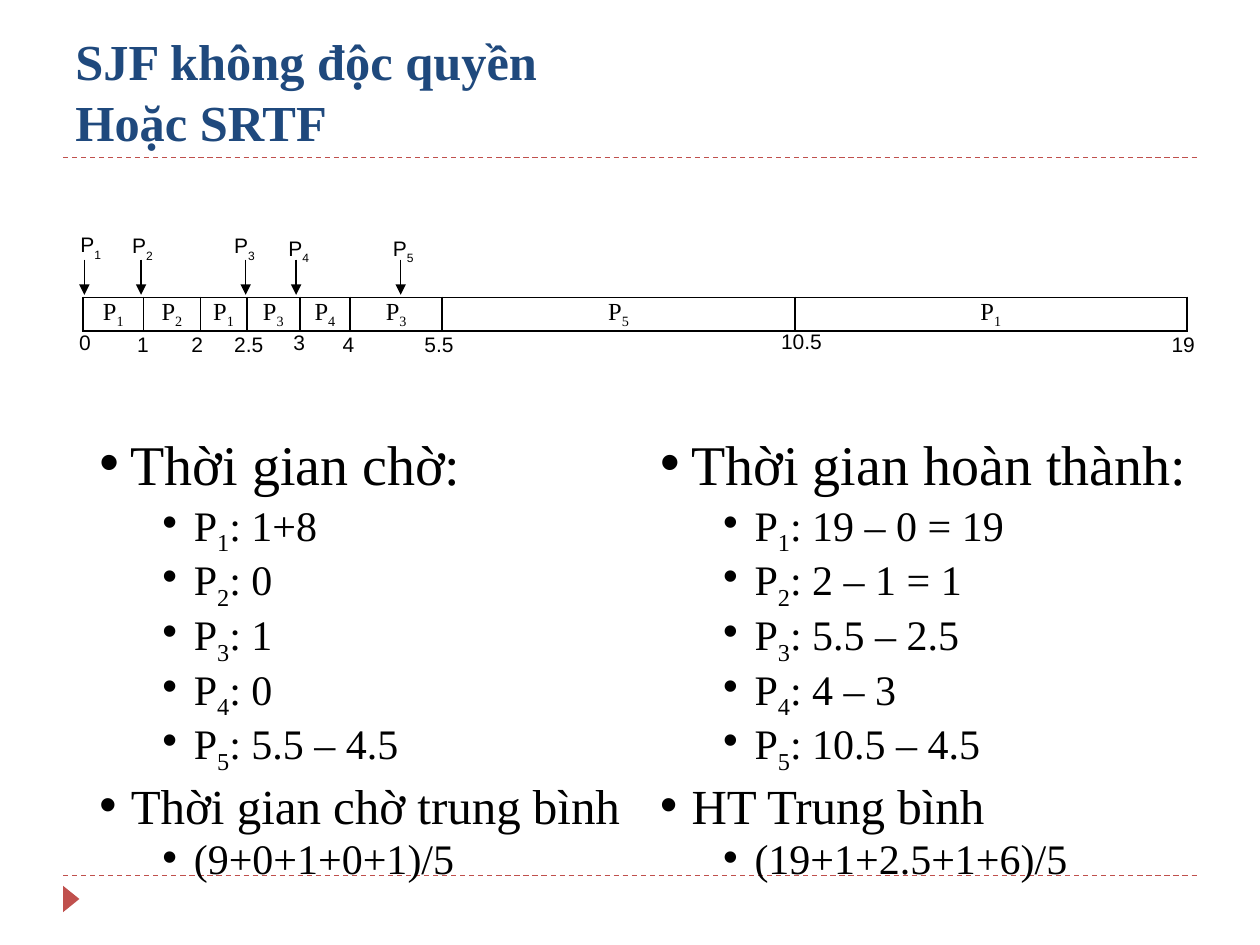
from typing import NamedTuple

from lxml import etree
from pptx import Presentation
from pptx.dml.color import RGBColor
from pptx.enum.dml import MSO_LINE
from pptx.enum.shapes import MSO_CONNECTOR, MSO_SHAPE
from pptx.enum.text import MSO_ANCHOR, PP_ALIGN
from pptx.oxml.ns import qn
from pptx.util import Inches, Pt

DASH = MSO_LINE.DASH
STRAIGHT = MSO_CONNECTOR.STRAIGHT
TRIANGLE = MSO_SHAPE.ISOSCELES_TRIANGLE
MIDDLE, BOTTOM = MSO_ANCHOR.MIDDLE, MSO_ANCHOR.BOTTOM
CENTER = PP_ALIGN.CENTER

COLORS = {"ink": "000000", "title": "1F497D", "accent": "C0504D"}
SERIF, SANS = "Times New Roman", "Arial"


class Slot(NamedTuple):
    job: str
    width: float


class Tick(NamedTuple):
    time: str
    left: float
    top: float
    width: float


class Arrival(NamedTuple):
    job: str
    left: float
    top: float
    arrow: float


class Panel(NamedTuple):
    left: float
    width: float
    head: str
    times: tuple
    mean: str
    total: str


SLOTS = [
    Slot("1", 0.48), Slot("2", 0.45), Slot("1", 0.37), Slot("3", 0.42),
    Slot("4", 0.4), Slot("3", 0.73), Slot("5", 2.8), Slot("1", 3.11),
]
TICKS = [
    Tick("0", 0.53, 2.57, 0.42), Tick("1", 0.99, 2.58, 0.5),
    Tick("2", 1.42, 2.58, 0.42), Tick("2.5", 1.76, 2.58, 0.52),
    Tick("3", 2.23, 2.57, 0.55), Tick("4", 2.62, 2.58, 0.55),
    Tick("5.5", 3.27, 2.58, 0.55), Tick("10.5", 6.1, 2.56, 0.55),
    Tick("19", 9.2, 2.58, 0.47),
]
ARRIVALS = [
    Arrival("1", 0.54, 1.79, 0.67), Arrival("2", 0.95, 1.8, 1.12),
    Arrival("3", 1.76, 1.8, 1.95), Arrival("4", 2.19, 1.82, 2.35),
    Arrival("5", 3.02, 1.82, 3.18),
]
PANELS = [
    Panel(0.69, 4.37, "Thời gian chờ:", ("1+8", "0", "1", "0", "5.5 – 4.5"),
          "Thời gian chờ trung bình", "(9+0+1+0+1)/5"),
    Panel(5.14, 4.57, "Thời gian hoàn thành:",
          ("19 – 0 = 19", "2 – 1 = 1", "5.5 – 2.5", "4 – 3", "10.5 – 4.5"),
          "HT Trung bình", "(19+1+2.5+1+6)/5"),
]


def rgb(name: str) -> RGBColor:
    return RGBColor.from_string(COLORS[name])


def add_run(para, text: str, size: float, face: str, color: str = "ink",
            bold: bool = False, sub: int = 0) -> None:
    """Add a run; sub lowers it by that percentage."""
    run = para.add_run()
    run.text = text
    run.font.size = Pt(size)
    run.font.name = face
    run.font.bold = bold
    run.font.color.rgb = rgb(color)
    if sub:
        run._r.get_or_add_rPr().set("baseline", str(-1000 * sub))


def add_job(para, job: str, size: float, face: str, sub: int = 25) -> None:
    add_run(para, "P", size, face)
    add_run(para, job, size, face, sub=sub)


def add_box(slide, left: float, top: float, width: float, height: float):
    box = slide.shapes.add_textbox(
        Inches(left), Inches(top), Inches(width), Inches(height))
    box.text_frame.word_wrap = True
    return box.text_frame


def add_line(slide, x1: float, y1: float, x2: float, y2: float, color: str):
    line = slide.shapes.add_connector(
        STRAIGHT, Inches(x1), Inches(y1), Inches(x2), Inches(y2))
    line.line.color.rgb = rgb(color)
    line.line.width = Pt(0.75)
    etree.SubElement(line._element.spPr, qn("a:effectLst"))
    return line


def add_frame(slide) -> None:
    """Draw the dashed rules, the corner mark and the title."""
    for y in (6.95, 1.25):
        add_line(slide, 0.5, y, 9.5, y, "accent").line.dash_style = DASH
    mark = slide.shapes.add_shape(
        TRIANGLE, Inches(0.46), Inches(7.07), Inches(0.21), Inches(0.13))
    mark.rotation = 90
    mark.shadow.inherit = False
    mark.fill.solid()
    mark.fill.fore_color.rgb = rgb("accent")
    mark.line.fill.background()
    frame = add_box(slide, 0.5, 0.17, 9, 1.08)
    frame.vertical_anchor = BOTTOM
    para = frame.paragraphs[0]
    add_run(para, "SJF không độc quyền", 28.8, SERIF, "title", True)
    para.add_line_break()
    add_run(para, "Hoặc SRTF", 28.8, SERIF, "title", True)


def add_border(cell) -> None:
    props = cell._tc.get_or_add_tcPr()
    for spot, side in enumerate(("lnL", "lnR", "lnT", "lnB")):
        edge = etree.Element(qn(f"a:{side}"), w=str(Pt(1)))
        fill = etree.SubElement(edge, qn("a:solidFill"))
        etree.SubElement(fill, qn("a:srgbClr"), val=COLORS["ink"])
        props.insert(spot, edge)


def add_gantt(slide) -> None:
    total = sum(slot.width for slot in SLOTS)
    table = slide.shapes.add_table(
        1, len(SLOTS), Inches(0.66), Inches(2.36),
        Inches(total), Inches(0.26)).table
    table.first_row = table.horz_banding = False
    for col, slot in enumerate(SLOTS):
        table.columns[col].width = Inches(slot.width)
        cell = table.cell(0, col)
        cell.fill.background()
        cell.vertical_anchor = MIDDLE
        cell.margin_left = cell.margin_right = Inches(0.08)
        cell.margin_top = cell.margin_bottom = 0
        para = cell.text_frame.paragraphs[0]
        para.alignment = CENTER
        add_job(para, slot.job, 14, SERIF)
        add_border(cell)


def add_arrival(slide, item: Arrival) -> None:
    arrow = add_line(slide, item.arrow, 2.06, item.arrow, 2.34, "ink")
    etree.SubElement(arrow.line._get_or_add_ln(), qn("a:tailEnd"),
                     type="triangle")
    frame = add_box(slide, item.left, item.top, 0.42, 0.42)
    add_job(frame.paragraphs[0], item.job, 12, SANS, 30)


def add_item(frame, level: int):
    """Start a bulleted paragraph, reusing the empty first one."""
    para = frame.paragraphs[0]
    first = not para.runs
    if not first:
        para = frame.add_paragraph()
    para.level = level
    para.line_spacing = 0.8
    para.space_before = Pt(0 if first else 5 if level else 10)
    props = para._p.get_or_add_pPr()
    props.set("marL", str(Inches(0.25 + 0.5 * level)))
    props.set("indent", str(-Inches(0.25)))
    etree.SubElement(props, qn("a:buFont"), typeface=SANS)
    etree.SubElement(props, qn("a:buChar"), char="•")
    return para


def add_panel(slide, panel: Panel) -> None:
    frame = add_box(slide, panel.left, 3.46, panel.width, 3.6)
    add_run(add_item(frame, 0), panel.head, 32, SERIF)
    for job, time in enumerate(panel.times, 1):
        para = add_item(frame, 1)
        add_job(para, str(job), 24, SERIF)
        add_run(para, f": {time}", 24, SERIF)
    add_run(add_item(frame, 0), panel.mean, 28, SERIF)
    add_run(add_item(frame, 1), panel.total, 24, SERIF)


def main() -> None:
    deck = Presentation()
    deck.slide_width, deck.slide_height = Inches(10), Inches(7.5)
    slide = deck.slides.add_slide(deck.slide_layouts[6])
    add_frame(slide)
    add_gantt(slide)
    for tick in TICKS:
        frame = add_box(slide, tick.left, tick.top, tick.width, 0.3)
        add_run(frame.paragraphs[0], tick.time, 12, SANS)
    for item in ARRIVALS:
        add_arrival(slide, item)
    for panel in PANELS:
        add_panel(slide, panel)
    deck.save("out.pptx")


if __name__ == "__main__":
    main()
